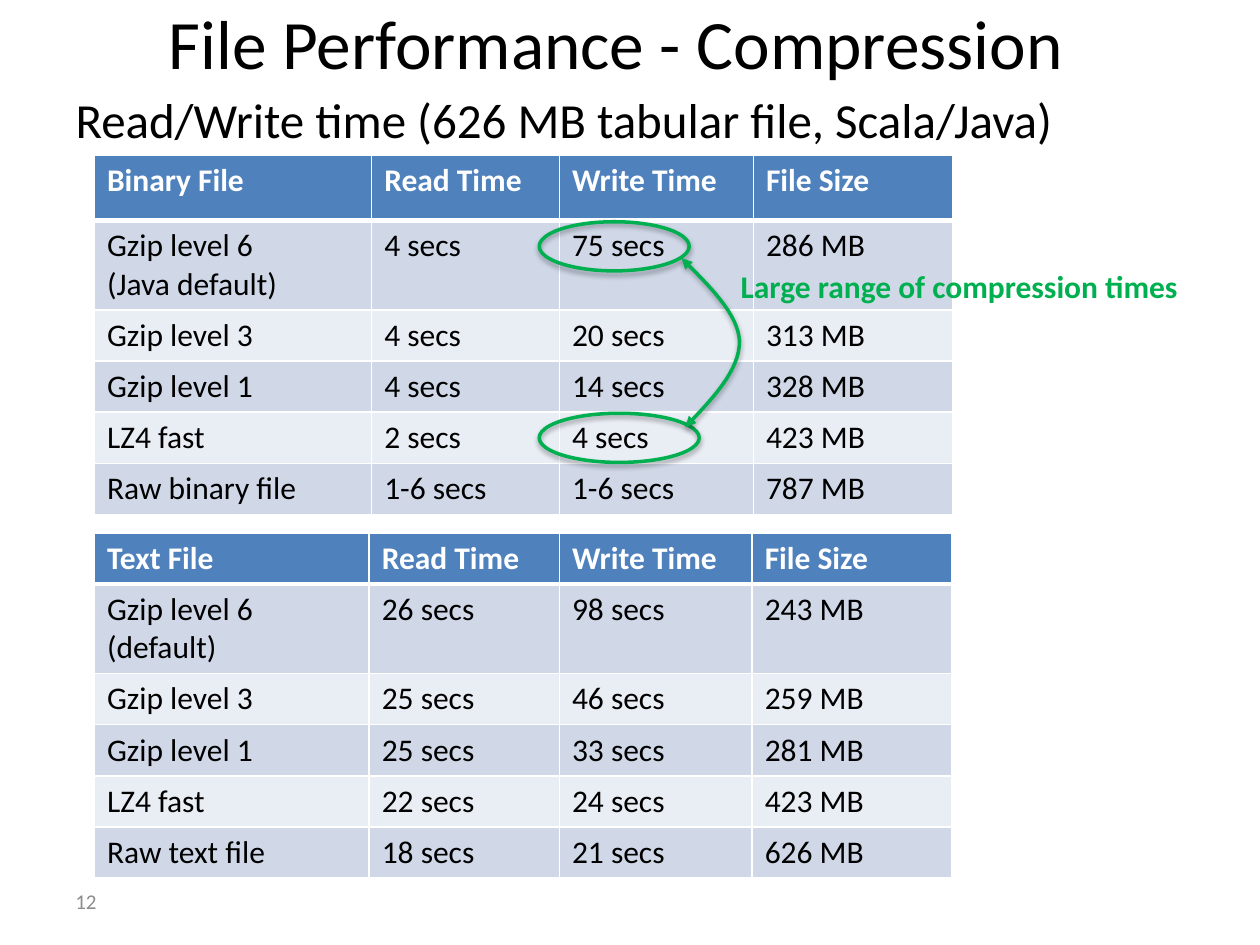
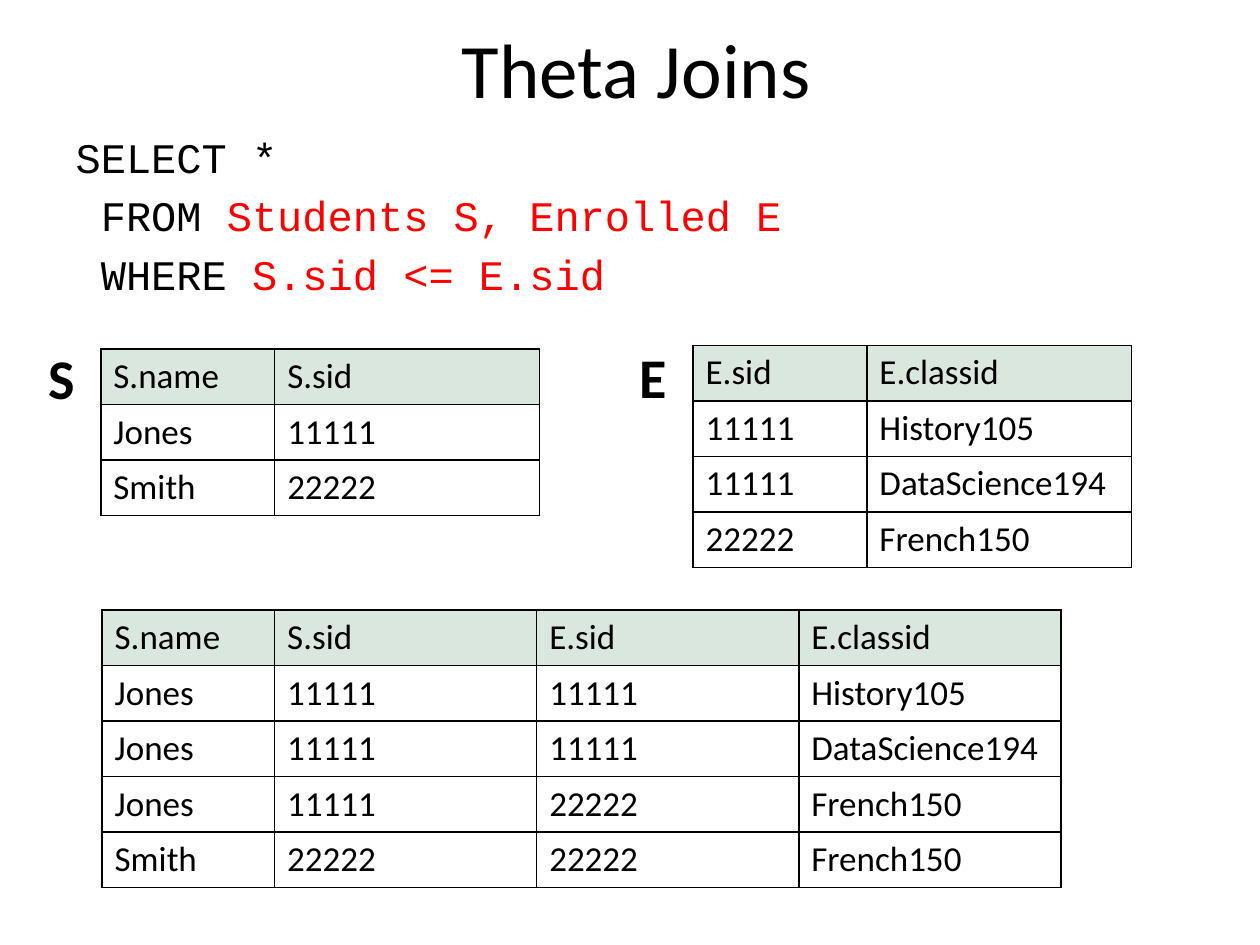
from dataclasses import dataclass
from typing import Any

from lxml import etree
from pptx import Presentation
from pptx import util as u
from pptx.dml.color import RGBColor
from pptx.enum import shapes, text
from pptx.oxml import parse_xml
from pptx.oxml.ns import nsdecls, qn

BLACK, WHITE, RED, GREEN = "000000", "FFFFFF", "FF0000", "00B050"
HEADER_BLUE, BAND_DARK, BAND_LIGHT = "4F81BD", "D0D8E8", "E9EDF4"
HEADER_MINT, PAGE_GREY = "D9E7DF", "8C8C8C"
SANS, MONO = "Calibri", "Courier New"


def rgb(value):
    return RGBColor.from_string(value)


def assign(target, values):
    for name, value in values.items():
        setattr(target, name, value)


def place(*lengths):
    return [u.Inches(length) for length in lengths]


def curve_points(start, segments, steps=16):
    points = [start]
    for first, second, end in segments:
        for step in range(1, steps + 1):
            t = step / steps
            weights = ((1 - t) ** 3, 3 * t * (1 - t) ** 2, 3 * t * t * (1 - t), t ** 3)
            corners = zip(start, first, second, end)
            points.append(tuple(sum(w * c for w, c in zip(weights, axis)) for axis in corners))
        start = end
    return points


@dataclass
class Painter:
    """Draws the elements of the current page in the shared style."""
    deck: Any
    page: Any = None

    def new_page(self):
        self.page = self.deck.slides.add_slide(self.deck.slide_layouts[1])

    def add_words(self, para, content, size, color=BLACK, font=SANS, bold=False):
        spans = [(content, color)] if isinstance(content, str) else content
        for words, span_color in spans:
            for number, line in enumerate(words.split("\n")):
                if number:
                    para.add_line_break()
                span = para.add_run()
                span.text = line
                assign(span.font, {"name": font, "size": u.Pt(size), "bold": bold})
                span.font.color.rgb = rgb(span_color)

    def fill_placeholder(self, box, area, lines, **style):
        assign(box, dict(zip(("left", "top", "width", "height"), place(*area))))
        frame = box.text_frame
        frame.auto_size = text.MSO_AUTO_SIZE.NONE
        for number, line in enumerate(lines):
            para = frame.add_paragraph() if number else frame.paragraphs[0]
            self.add_words(para, line, **style)
        return frame

    def title(self, words, area, size):
        frame = self.fill_placeholder(self.page.shapes.title, area, [words], size=size)
        frame.vertical_anchor = text.MSO_ANCHOR.MIDDLE
        frame.paragraphs[0].alignment = text.PP_ALIGN.CENTER

    def body(self, lines, area, **style):
        frame = self.fill_placeholder(self.page.placeholders[1], area, lines, **style)
        for para in frame.paragraphs:
            properties = para._p.get_or_add_pPr()
            properties.set("marL", "0")
            properties.set("indent", "0")
            etree.SubElement(properties, qn("a:buNone"))

    def label(self, words, area, size, color=BLACK, bold=True, middle=False):
        frame = self.page.shapes.add_textbox(*place(*area)).text_frame
        assign(frame, {
            "word_wrap": middle,
            "auto_size": text.MSO_AUTO_SIZE.NONE if middle else text.MSO_AUTO_SIZE.SHAPE_TO_FIT_TEXT,
            "vertical_anchor": text.MSO_ANCHOR.MIDDLE if middle else text.MSO_ANCHOR.TOP,
        })
        self.add_words(frame.paragraphs[0], words, size, color, bold=bold)

    def table(self, rows, corner, widths, heights, size, header, bands, border,
              header_color=BLACK, header_bold=False, rule=1):
        area = place(*corner, sum(widths), sum(heights))
        grid = self.page.shapes.add_table(len(rows), len(widths), *area).table
        grid.horz_banding = False
        for column, width in zip(grid.columns, widths):
            column.width = u.Inches(width)
        for number, (row, height, entries) in enumerate(zip(grid.rows, heights, rows)):
            row.height = u.Inches(height)
            is_header = number == 0
            fill = header if is_header else bands[(number - 1) % len(bands)]
            edges = {"L": 1, "R": 1, "T": rule if number == 1 else 1, "B": rule if is_header else 1}
            for cell, words in zip(row.cells, entries):
                self.border(cell, border, edges)
                cell.fill.solid()
                cell.fill.fore_color.rgb = rgb(fill)
                self.add_words(cell.text_frame.paragraphs[0], words, size,
                               header_color if is_header else BLACK, bold=is_header and header_bold)

    def border(self, cell, color, edges):
        properties = cell._tc.get_or_add_tcPr()
        for side, width in edges.items():
            properties.append(parse_xml(
                f'<a:ln{side} {nsdecls("a")} w="{u.Pt(width)}"><a:solidFill>'
                f'<a:srgbClr val="{color}"/></a:solidFill></a:ln{side}>'))

    def outline(self, shape):
        shape.fill.background()
        shape.line.color.rgb = rgb(GREEN)
        shape.line.width = u.Pt(2)
        shape.shadow.inherit = False
        shape._element.spPr.find(qn("a:effectLst")).append(parse_xml(
            f'<a:outerShdw {nsdecls("a")} blurRad="{u.Pt(3.1)}" dist="{u.Pt(1.8)}" dir="5400000" '
            f'rotWithShape="0"><a:srgbClr val="{BLACK}"><a:alpha val="35000"/></a:srgbClr></a:outerShdw>'))

    def ring(self, area):
        self.outline(self.page.shapes.add_shape(shapes.MSO_SHAPE.OVAL, *place(*area)))

    def curved_arrow(self, start, segments):
        first, *others = [place(*point) for point in curve_points(start, segments)]
        builder = self.page.shapes.build_freeform(*first)
        builder.add_line_segments(others, close=False)
        arrow = builder.convert_to_shape()
        self.outline(arrow)
        for end in ("headEnd", "tailEnd"):
            etree.SubElement(arrow.line._get_or_add_ln(), qn(f"a:{end}"), type="triangle")


def compression_page(painter):
    painter.new_page()
    painter.label("12", (0.5, 6.95, 2.33, 0.4), 12, PAGE_GREY, bold=False, middle=True)
    painter.title("File Performance - Compression", (0.5, 0, 8.78, 0.66), 39.6)
    painter.body(["Read/Write time (626 MB tabular file, Scala/Java)"], (0.5, 0.66, 9, 5.34), size=28)

    style = {"size": 18, "header": HEADER_BLUE, "bands": (BAND_DARK, BAND_LIGHT), "border": WHITE,
             "header_color": WHITE, "header_bold": True, "rule": 3}
    measures = ("Read Time", "Write Time", "File Size")
    binary_files = [
        ("Binary File", *measures),
        ("Gzip level 6 \n(Java default)", "4 secs", "75 secs", "286 MB"),
        ("Gzip level 3", "4 secs", "20 secs", "313 MB"),
        ("Gzip level 1", "4 secs", "14 secs", "328 MB"),
        ("LZ4 fast", "2 secs", "4 secs", "423 MB"),
        ("Raw binary file", "1-6 secs", "1-6 secs", "787 MB"),
    ]
    text_files = [
        ("Text File", *measures),
        ("Gzip level 6 (default)", "26 secs", "98 secs", "243 MB"),
        ("Gzip level 3", "25 secs", "46 secs", "259 MB"),
        ("Gzip level 1", "25 secs", "33 secs", "281 MB"),
        ("LZ4 fast", "22 secs", "24 secs", "423 MB"),
        ("Raw text file", "18 secs", "21 secs", "626 MB"),
    ]
    body_heights = [0.7] + [0.4] * 4
    painter.table(binary_files, (0.75, 1.23), (2.2, 1.49, 1.54, 1.58), [0.52] + body_heights, **style)
    painter.table(text_files, (0.75, 4.23), (2.18, 1.51, 1.53, 1.58), [0.4] + body_heights, **style)

    painter.ring((4.28, 1.76, 1.19, 0.39))
    painter.ring((4.28, 3.28, 1.27, 0.39))
    painter.curved_arrow((5.44, 3.39), [
        ((5.66, 3.16), (5.87, 2.94), (5.87, 2.71)),
        ((5.86, 2.49), (5.63, 2.27), (5.41, 2.05)),
    ])
    painter.label("Large range of compression times", (5.78, 2.07, 3.7, 0.4), 18, GREEN)


def theta_joins_page(painter):
    painter.new_page()
    painter.title("Theta Joins", (0.81, 0.08, 8.48, 0.91), 44)
    query = [
        "SELECT *",
        [(" FROM ", BLACK), ("Students S, Enrolled E", RED)],
        [(" WHERE ", BLACK), ("S.sid <= E.sid", RED)],
    ]
    painter.body(query, (0.5, 0.99, 9.19, 6.19), size=24, font=MONO)

    students = [("S.name", "S.sid"), ("Jones", "11111"), ("Smith", "22222")]
    enrolled = [("E.sid", "E.classid"), ("11111", "History105"),
                ("11111", "DataScience194"), ("22222", "French150")]
    matches = [student + entry for student in students[1:] for entry in enrolled[1:]
               if student[1] <= entry[0]]
    joined = [students[0] + enrolled[0], *matches]
    for rows, corner, widths in (
        (students, (0.8, 2.77), (1.38, 2.1)),
        (enrolled, (5.5, 2.74), (1.38, 2.1)),
        (joined, (0.81, 4.84), (1.37, 2.08, 2.08, 2.08)),
    ):
        painter.table(rows, corner, widths, [0.44] * len(rows), 20, HEADER_MINT, (WHITE,), BLACK)

    painter.label("E", (4.98, 2.67, 0.42, 0.64), 32)
    painter.label("S", (0.29, 2.68, 0.41, 0.64), 32)


def main():
    deck = Presentation()
    assign(deck, {"slide_width": u.Inches(10), "slide_height": u.Inches(7.5)})
    painter = Painter(deck)
    compression_page(painter)
    theta_joins_page(painter)
    deck.save("out.pptx")


if __name__ == "__main__":
    main()
